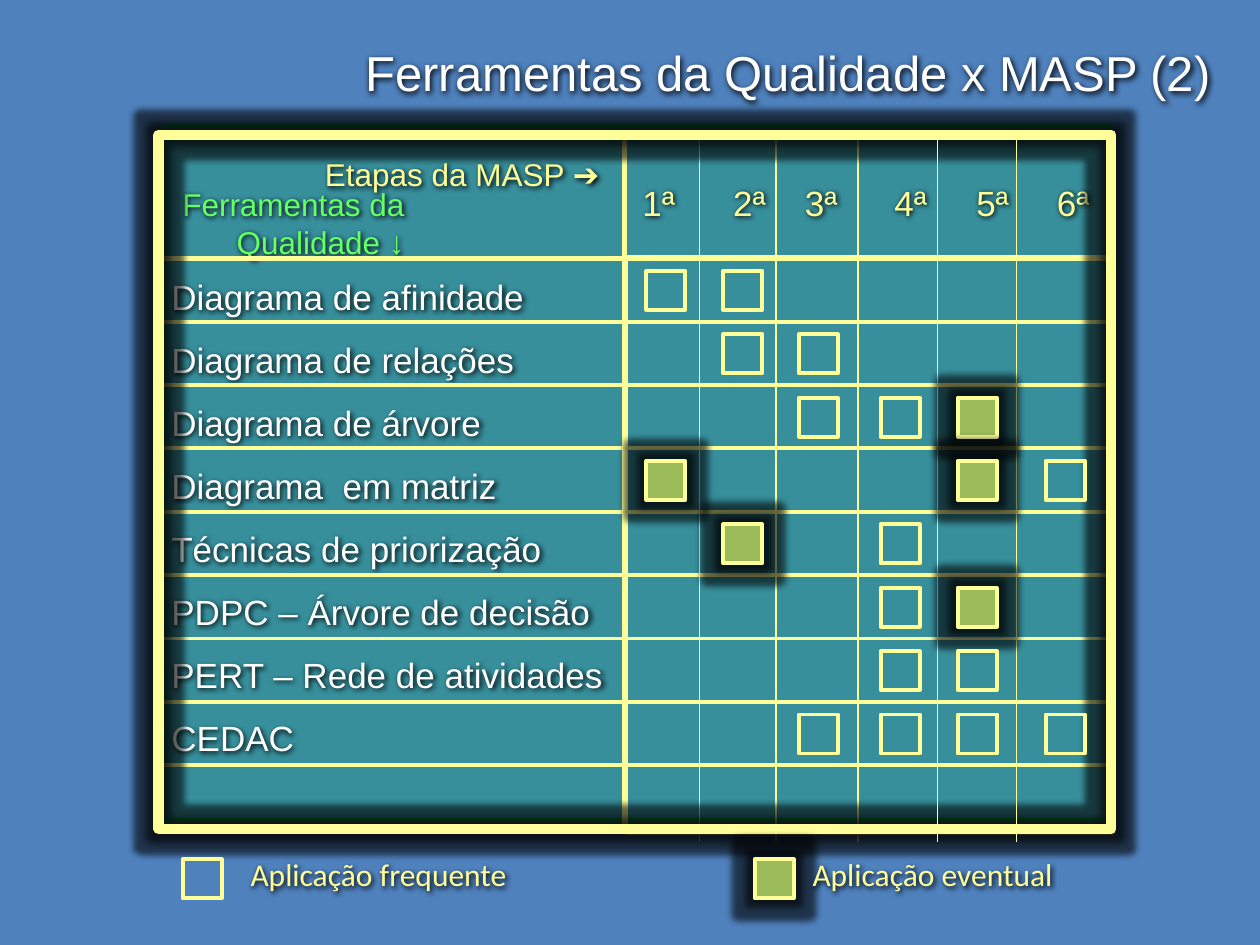
"""Builds the slide that crosses quality tools with the MASP steps."""
import pptx
import pptx.dml.color
import pptx.enum.shapes
import pptx.enum.text
import pptx.oxml
import pptx.util
from pptx.oxml.ns import nsdecls

inch = pptx.util.Inches
color = pptx.dml.color.RGBColor.from_string
align = pptx.enum.text.PP_ALIGN
YELLOW, WHITE, GREEN, OLIVE = "FFFF99", "FFFFFF", "66FF66", "9BBB59"


def draw_box(left, top, width, height, line, points, fill=None, glow=False):
    box = slide.shapes.add_shape(pptx.enum.shapes.MSO_SHAPE.RECTANGLE,
                                 inch(left), inch(top), inch(width), inch(height))
    box.shadow.inherit = False
    box.line.color.rgb = color(line)
    box.line.width = pptx.util.Pt(points)
    if fill:
        box.fill.solid()
        box.fill.fore_color.rgb = color(fill)
    else:
        box.fill.background()
    if glow:
        box._element.spPr.find(pptx.oxml.ns.qn("a:effectLst")).append(pptx.oxml.parse_xml(
            f'<a:glow {nsdecls("a")} rad="101600"><a:srgbClr val="000000">'
            '<a:alpha val="60000"/></a:srgbClr></a:glow>'))
    return box


def write(shape, place, paragraphs, size, ink, font="Arial", wrap=False,
          side=align.LEFT, spacing=1.0):
    shape.left, shape.top, shape.width, shape.height = map(inch, place)
    shape.fill.background()
    shape.shadow.inherit = False
    shape._element.spPr.find(pptx.oxml.ns.qn("a:effectLst")).append(pptx.oxml.parse_xml(
        f'<a:outerShdw {nsdecls("a")} blurRad="38100" dist="12700" dir="2700000">'
        '<a:srgbClr val="000000"/></a:outerShdw>'))
    frame = shape.text_frame
    frame.word_wrap = wrap
    frame.auto_size = pptx.enum.text.MSO_AUTO_SIZE.SHAPE_TO_FIT_TEXT
    frame.vertical_anchor = pptx.enum.text.MSO_ANCHOR.TOP
    for index, runs in enumerate(paragraphs):
        paragraph = frame.add_paragraph() if index else frame.paragraphs[0]
        paragraph.alignment = side
        paragraph.line_spacing = spacing
        paragraph.space_before = pptx.util.Pt(0)
        properties = paragraph._p.get_or_add_pPr()
        properties.set("marL", "0")
        properties.set("indent", "0")
        properties.append(pptx.oxml.parse_xml(f'<a:buNone {nsdecls("a")}/>'))
        for text, bold in runs:
            run = paragraph.add_run()
            run.text = text
            run.font.name, run.font.size = font, pptx.util.Pt(size)
            run.font.bold = bold
            run.font.color.rgb = color(ink)


deck = pptx.Presentation()
deck.slide_width, deck.slide_height = inch(10), inch(7.5)
slide = deck.slides.add_slide(deck.slide_layouts[1])
slide.background.fill.solid()
slide.background.fill.fore_color.rgb = color("4F81BD")

left, top, width, height = 1.26, 1.07, 7.56, 5.51
header_bottom, row_height, mark = 2.05, 0.503, 0.31
column_edges = [5.55, 6.16, 6.81, 7.44, 8.07]
mark_lefts = [5.13, 5.74, 6.34, 6.99, 7.6, 8.3]
step_lefts = [5, 5.72, 6.29, 7, 7.65, 8.29]
tools = {
    "Diagrama de afinidade": "FF....",
    "Diagrama de relações": ".FF...",
    "Diagrama de árvore": "..FFE.",
    "Diagrama  em matriz": "E...EF",
    "Técnicas de priorização": ".E.F..",
    "PDPC – Árvore de decisão": "...FE.",
    "PERT – Rede de atividades": "...FF.",
    "CEDAC": "..FFFF",
}

panel = draw_box(1.3, 0.99, 7.52, height, "00B050", 2, "00B050")
panel.fill._xPr.find(".//" + pptx.oxml.ns.qn("a:srgbClr")).append(
    pptx.oxml.parse_xml(f'<a:alpha {nsdecls("a")} val="30000"/>'))
slide.shapes._spTree.insert(2, panel._element)

write(slide.shapes.title, (2.8, 0.29, 6.99, 0.57),
      [[("Ferramentas da Qualidade x MASP (2)", False)]], 28, WHITE)
write(slide.placeholders[1], (left, 1.97, 3.65, 4.14),
      [[(tool, False)] for tool in tools], 20, WHITE, spacing=1.5)

labels = [
    ((2.48, 1.18, 2.52, 0.4), [("Etapas da MASP ➔", False)], 18, YELLOW, {"wrap": True}),
    ((left, 1.42, 2.05, 0.71), [("Ferramentas da Qualidade ", False), ("↓", True)], 18, GREEN,
     {"wrap": True, "side": align.RIGHT}),
]
for step, step_left in enumerate(step_lefts, start=1):
    labels.append(((step_left, 1.39, 0.47, 0.44), [(f"{step}ª", False)], 20, YELLOW,
                   {"wrap": False}))
for place, runs, size, ink, options in labels:
    write(slide.shapes.add_textbox(0, 0, 0, 0), place, [runs], size, ink, **options)

row_rules = [(left + 0.03, header_bottom + row * row_height,
              left + width + 0.03, header_bottom + row * row_height, 2.25) for row in range(10)]
column_rules = [(edge, 1.09, edge, 6.68, 0.75) for edge in column_edges]
rules = row_rules + column_rules
for number, (x1, y1, x2, y2, points) in enumerate(rules):
    if number == len(rules) - 2:
        draw_box(left, top, 3.7, height, YELLOW, 3)
        draw_box(left, top, width, 0.98, YELLOW, 3)
        draw_box(4.97, 2.04, 3.86, 4.57, YELLOW, 2.25)
        draw_box(left, top, width, height, YELLOW, 6, glow=True)
    rule = slide.shapes.add_connector(pptx.enum.shapes.MSO_CONNECTOR.STRAIGHT,
                                      inch(x1), inch(y1), inch(x2), inch(y2))
    rule.line.color.rgb = color(YELLOW)
    rule.line.width = pptx.util.Pt(points)
    rule._element.spPr.append(pptx.oxml.parse_xml(f'<a:effectLst {nsdecls("a")}/>'))

for row, uses in enumerate(tools.values()):
    for mark_left, use in zip(mark_lefts, uses):
        if use != ".":
            occasional = use == "E"
            draw_box(mark_left, header_bottom + 0.1 + row * row_height, mark, mark,
                     YELLOW, 2.25, OLIVE if occasional else None, glow=occasional)

legend = [(1.45, 1.89, 2.24, "Aplicação frequente", None),
          (5.99, 6.35, 2.11, "Aplicação eventual", OLIVE)]
for mark_left, text_left, text_width, meaning, fill in legend:
    draw_box(mark_left, 6.82, mark, mark, YELLOW, 2.25, fill, glow=bool(fill))
    write(slide.shapes.add_textbox(0, 0, 0, 0), (text_left, 6.74, text_width, 0.4),
          [[(meaning, False)]], 18, YELLOW, font="Calibri")

deck.save("out.pptx")
